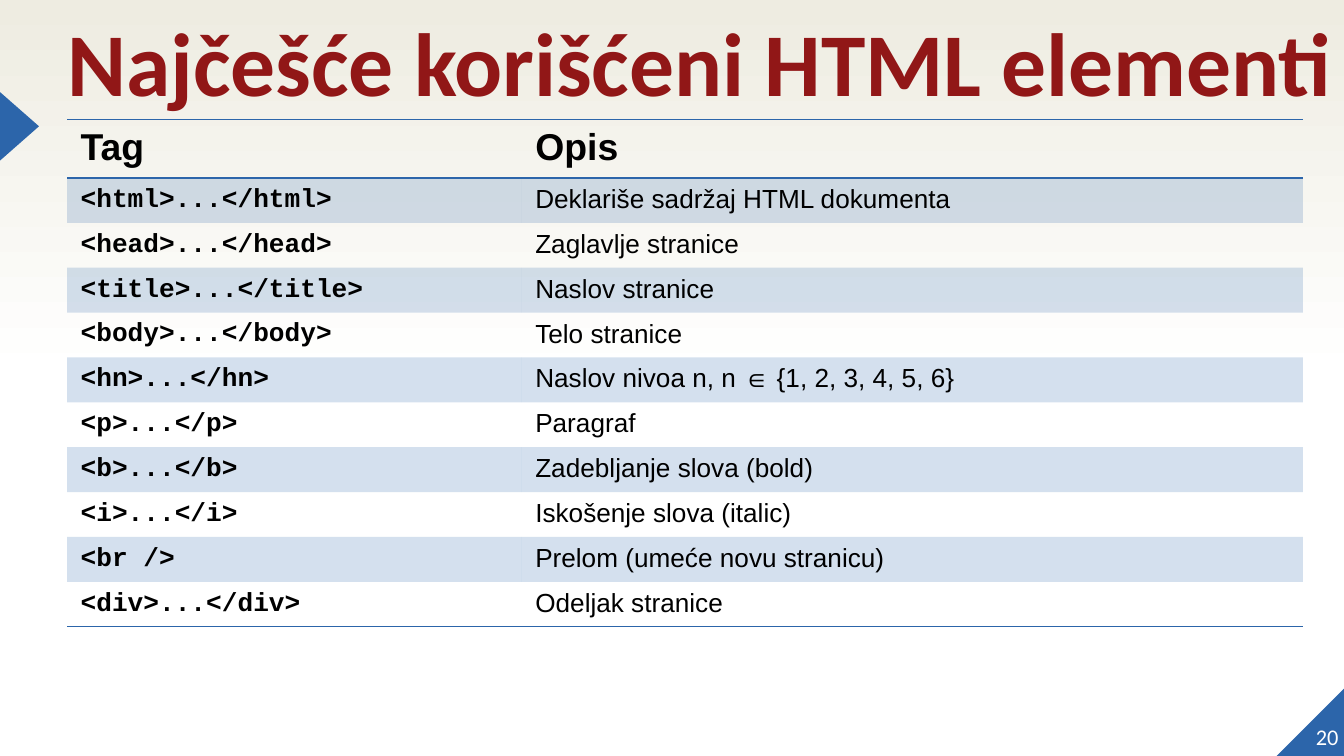
from dataclasses import dataclass

from lxml.etree import SubElement
from pptx import Presentation
from pptx.dml.color import RGBColor
from pptx.enum.shapes import MSO_SHAPE as Shape
from pptx.enum.text import MSO_ANCHOR as Anchor, PP_ALIGN as Align
from pptx.oxml import parse_xml
from pptx.oxml.ns import nsdecls, qn
from pptx.slide import Slide
from pptx.table import _Cell as Cell
from pptx.text.text import TextFrame, _Paragraph as Paragraph
from pptx.util import Inches, Length, Pt

BLUE = RGBColor(0x2C, 0x65, 0xAA)
RED = RGBColor(0x91, 0x17, 0x17)
BEIGE = RGBColor(0xEE, 0xEC, 0xE1)
WHITE = RGBColor(0xFF, 0xFF, 0xFF)
BLACK = RGBColor(0, 0, 0)

COLUMNS, ROWS = 100, 56.25
PLAIN_TABLE = "{2D5ABB26-0587-4C30-8999-92F81FD0307C}"


def grid(count: float) -> Length:
    return Inches(count / 10)


@dataclass(frozen=True)
class Place:
    column: float
    row: float
    columns: float
    rows: float

    def lengths(self) -> tuple[Length, ...]:
        return tuple(map(grid, (self.column, self.row, self.columns, self.rows)))


@dataclass(frozen=True)
class Style:
    font: str
    size: int
    color: RGBColor = BLACK
    bold: bool = False


@dataclass(frozen=True)
class Corner:
    shape: Shape
    place: Place
    rotation: int = 0
    flipped: bool = False


@dataclass(frozen=True)
class Label:
    text: str
    place: Place
    style: Style
    anchor: Anchor
    align: Align = Align.LEFT
    spacing: float = 1.0


@dataclass(frozen=True)
class Element:
    tag: str
    meaning: str


HEADING = Style("Arial", 20, bold=True)
CODE = Style("Courier New", 14, bold=True)
BODY = Style("Arial", 14)

CORNERS = (
    Corner(Shape.RIGHT_TRIANGLE, Place(95, 51.15, 5.1, 5.1), flipped=True),
    Corner(Shape.ISOSCELES_TRIANGLE, Place(-1.1, 7.95, 5.1, 2.9), rotation=90),
)
LABELS = (
    Label("Najčešće korišćeni HTML elementi", Place(5, 2.1, 94.6, 7.6),
          Style("Calibri", 48, RED, True), Anchor.TOP, spacing=0.8),
    Label("20", Place(94.6, 50.7, 5, 5.1),
          Style("Calibri", 12, WHITE), Anchor.BOTTOM, Align.RIGHT),
)
ELEMENTS = (
    Element("<html>...</html>", "Deklariše sadržaj HTML dokumenta"),
    Element("<head>...</head>", "Zaglavlje stranice"),
    Element("<title>...</title>", "Naslov stranice"),
    Element("<body>...</body>", "Telo stranice"),
    Element("<hn>...</hn>", "Naslov nivoa n, n ∈ {1, 2, 3, 4, 5, 6}"),
    Element("<p>...</p>", "Paragraf"),
    Element("<b>...</b>", "Zadebljanje slova (bold)"),
    Element("<i>...</i>", "Iskošenje slova (italic)"),
    Element("<br />", "Prelom (umeće novu stranicu)"),
    Element("<div>...</div>", "Odeljak stranice"),
)
TABLE_PLACE = Place(5, 8.9, 91.95, 37.7)
COLUMN_WIDTHS = (33.83, 58.12)
HEADING_HEIGHT, ELEMENT_HEIGHT = 3.5, 3


def add_span(para: Paragraph, text: str, style: Style) -> None:
    span = para.add_run()
    span.text = text
    span.font.name = style.font
    span.font.size = Pt(style.size)
    span.font.bold = style.bold
    span.font.color.rgb = style.color


def paint_background(page: Slide) -> None:
    fill = page.background.fill
    fill.gradient()
    fill.gradient_angle = 90
    for stop, position, color in zip(fill.gradient_stops, (0.5, 1), (WHITE, BEIGE)):
        stop.position = position
        stop.color.rgb = color


def add_corner(page: Slide, corner: Corner) -> None:
    shape = page.shapes.add_shape(corner.shape, *corner.place.lengths())
    shape.shadow.inherit = False
    shape.fill.solid()
    shape.fill.fore_color.rgb = BLUE
    shape.line.fill.background()
    shape.rotation = corner.rotation
    if corner.flipped:
        shape._element.spPr.xfrm.set("flipH", "1")


def add_label(page: Slide, label: Label) -> None:
    box: TextFrame = page.shapes.add_textbox(*label.place.lengths()).text_frame
    box.margin_left = box.margin_right = box.margin_top = box.margin_bottom = 0
    box.word_wrap = True
    box.vertical_anchor = label.anchor
    para = box.paragraphs[0]
    para.alignment = label.align
    para.line_spacing = label.spacing
    add_span(para, label.text, label.style)


def add_border(cell: Cell, side: str) -> None:
    properties = cell._tc.get_or_add_tcPr()
    border = parse_xml(
        f'<a:{side} {nsdecls("a")} w="{Pt(1)}" cmpd="sng"><a:solidFill>'
        f'<a:srgbClr val="{BLUE}"/></a:solidFill><a:prstDash val="solid"/></a:{side}>'
    )
    properties.insert(len(properties.findall(qn("a:lnT"))), border)


def fill_cell(cell: Cell, text: str, style: Style, shaded: bool) -> None:
    add_span(cell.text_frame.paragraphs[0], text, style)
    if style is CODE:
        cell.vertical_anchor = Anchor.MIDDLE
    if not shaded:
        cell.fill.background()
        return
    cell.fill.solid()
    cell.fill.fore_color.rgb = BLUE
    color = cell._tc.tcPr.find(f"{qn('a:solidFill')}/{qn('a:srgbClr')}")
    SubElement(color, qn("a:alpha")).set("val", "20000")


def add_elements(page: Slide) -> None:
    count = len(ELEMENTS) + 1
    frame = page.shapes.add_table(count, 2, *TABLE_PLACE.lengths())
    table = frame.table
    table.horz_banding = False
    table._tbl.tblPr.find(qn("a:tableStyleId")).text = PLAIN_TABLE
    for column, width in zip(table.columns, COLUMN_WIDTHS):
        column.width = grid(width)
    for index, entry in enumerate((Element("Tag", "Opis"), *ELEMENTS)):
        heading = index == 0
        table.rows[index].height = grid(HEADING_HEIGHT if heading else ELEMENT_HEIGHT)
        styles = (HEADING, HEADING) if heading else (CODE, BODY)
        for cell, text, style in zip(table.rows[index].cells, (entry.tag, entry.meaning), styles):
            fill_cell(cell, text, style, shaded=index % 2 == 1)
            if heading:
                add_border(cell, "lnT")
            if heading or index == count - 1:
                add_border(cell, "lnB")
    frame.height = grid(TABLE_PLACE.rows)


def main() -> None:
    deck = Presentation()
    deck.slide_width, deck.slide_height = grid(COLUMNS), grid(ROWS)
    page = deck.slides.add_slide(deck.slide_layouts[6])
    paint_background(page)
    for corner in CORNERS:
        add_corner(page, corner)
    for label in LABELS:
        add_label(page, label)
    add_elements(page)
    deck.save("out.pptx")


if __name__ == "__main__":
    main()
